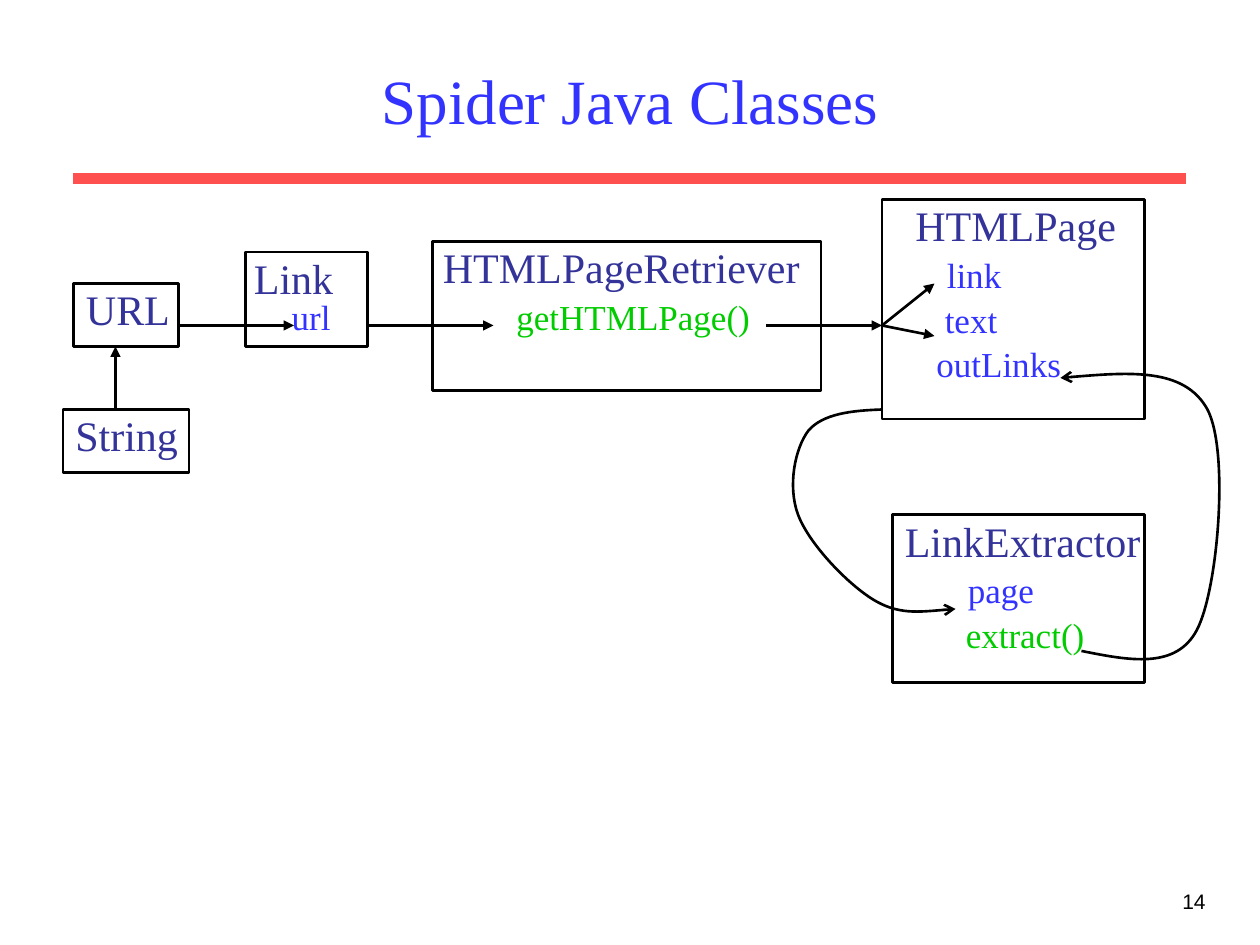
import pptx
import pptx.util
import pptx.dml.color
import pptx.enum.shapes
import pptx.enum.text
import pptx.oxml
import pptx.oxml.ns

COLORS = {"title": "3333FF", "field": "3333FF", "class": "333399",
          "method": "00CC00", "rule": "FF5050", "ink": "000000"}
SIZES = {"class": 24, "field": 20, "method": 20}
SERIF = "Times New Roman"

deck = pptx.Presentation()
deck.slide_width = pptx.util.Inches(10)
deck.slide_height = pptx.util.Inches(7.5)
CELL = deck.slide_width / 120
slide = deck.slides.add_slide(deck.slide_layouts[6])


def grid(*cells):
    return [round(cell * CELL) for cell in cells]


def color(name):
    return pptx.dml.color.RGBColor.from_string(COLORS[name])


def style(para, name, size, face=SERIF):
    para.font.name = face
    para.font.size = pptx.util.Pt(size)
    para.font.color.rgb = color(name)


def stroke(shape, name="ink", width=1.5, head=None):
    shape.line.color.rgb = color(name)
    shape.line.width = pptx.util.Pt(width)
    if head:
        tail = pptx.oxml.parse_xml(
            f'<a:tailEnd {pptx.oxml.ns.nsdecls("a")} type="{head}"/>')
        shape.line._get_or_add_ln().append(tail)


def line(start, end, head="triangle", name="ink", width=1.5):
    link = slide.shapes.add_connector(
        pptx.enum.shapes.MSO_CONNECTOR.STRAIGHT, *grid(*start, *end))
    stroke(link, name, width, head)
    link._element.spPr.append(
        pptx.oxml.parse_xml(f'<a:effectLst {pptx.oxml.ns.nsdecls("a")}/>'))


def single(box, text, name, size, face, align, anchor):
    frame = slide.shapes.add_textbox(*grid(*box)).text_frame
    frame.word_wrap = True
    frame.vertical_anchor = anchor
    para = frame.paragraphs[0]
    para.text = text
    para.alignment = align
    style(para, name, size, face)


def labels(box, rows):
    frame = slide.shapes.add_textbox(*grid(*box)).text_frame
    frame.word_wrap = True
    frame.margin_right = 0
    for num, (text, kind, indent) in enumerate(rows):
        para = frame.add_paragraph() if num else frame.paragraphs[0]
        para.text = text
        para.line_spacing = 0.9
        para.space_before = pptx.util.Pt(SIZES[kind] / 5)
        para._p.get_or_add_pPr().set("marL", str(grid(indent)[0]))
        style(para, kind, SIZES[kind])


def node(box, parts):
    left, top, wide, high = box
    for (dx, dy, cols, deep), rows in parts:
        labels((left + dx, top + dy, cols, deep), rows)
    rect = slide.shapes.add_shape(
        pptx.enum.shapes.MSO_SHAPE.RECTANGLE, *grid(left, top, wide, high))
    rect.fill.background()
    rect.shadow.inherit = False
    stroke(rect)


def curve(start, points):
    pen = slide.shapes.build_freeform(*grid(*start))
    pen.add_line_segments([grid(*point) for point in points], close=False)
    shape = pen.convert_to_shape()
    shape.fill.background()
    shape.shadow.inherit = False
    stroke(shape, head="arrow")
    tag = pptx.oxml.ns.qn
    steps = list(shape._element.iter(tag("a:lnTo")))
    for num in range(0, len(steps), 3):
        bend = pptx.oxml.parse_xml(
            f'<a:cubicBezTo {pptx.oxml.ns.nsdecls("a")}/>')
        steps[num].addprevious(bend)
        for step in steps[num:num + 3]:
            bend.append(step.find(tag("a:pt")))
            step.getparent().remove(step)


def header():
    line((7, 17), (113, 17), None, "rule", 6)
    single((9, 3, 102, 13), "Spider Java Classes", "title", 36, SERIF,
           pptx.enum.text.PP_ALIGN.CENTER, pptx.enum.text.MSO_ANCHOR.MIDDLE)


def footer():
    single((91, 84, 25, 6), "14", "ink", 12, "Arial",
           pptx.enum.text.PP_ALIGN.RIGHT, pptx.enum.text.MSO_ANCHOR.TOP)


def diagram():
    node((41.2, 23, 37, 14.2), [((-5.2, 0, 41.4, 10.8), [
        ("HTMLPageRetriever", "class", 5),
        ("getHTMLPage()", "method", 12)])])
    node((85, 49, 24, 16), [((-6, 0, 31, 15.2), [
        ("LinkExtractor", "class", 6),
        ("page", "field", 12),
        ("extract()", "method", 11.8)])])
    node((6, 39, 12, 6), [((-6, 0, 18.2, 5.5), [("String", "class", 6)])])
    node((23.4, 24, 11.6, 9), [
        ((-5.4, 0, 15, 5.5), [("Link", "class", 5)]),
        ((-1.8, 4, 11.2, 4.8), [("url", "field", 5)])])
    node((7, 27, 10, 6), [((-6, 0, 16.4, 5.5), [("URL", "class", 6)])])
    node((84, 19, 25, 20.9), [((-6, 0, 29.5, 24), [
        ("HTMLPage", "class", 8),
        ("link", "field", 11),
        ("text", "field", 10.8),
        ("outLinks", "field", 10)])])
    for start, end in [((35, 31), (47, 31)), ((17, 31), (28, 31)),
                       ((11, 39), (11, 33)), ((73, 31), (84, 31)),
                       ((84, 31), (89, 27)), ((84, 31), (89, 32))]:
        line(start, end)
    curve((84, 39), [(81.1, 39.1), (78.4, 39.4), (77, 41),
                     (75.7, 42.7), (75, 46.3), (76, 49),
                     (77, 51.7), (80.5, 55.4), (83, 57),
                     (85.5, 58.6), (88.2, 58.2), (91, 58)])
    curve((103, 62), [(107.5, 62.9), (112, 63.8), (114, 60),
                      (116, 56.2), (117.1, 43), (115, 39),
                      (112.8, 35), (106.9, 35.5), (101, 36)])


header()
footer()
diagram()
deck.save("out.pptx")
